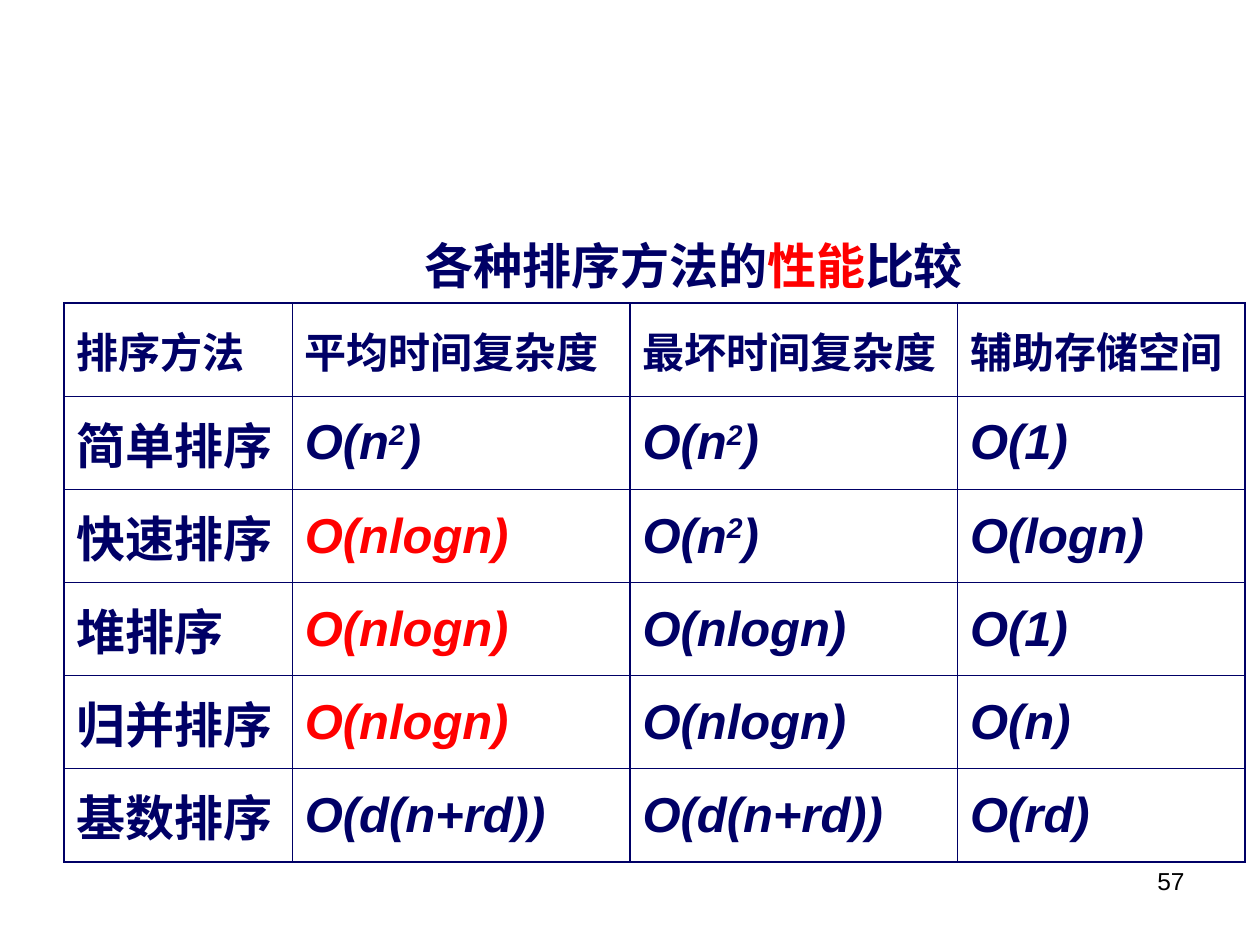
import pptx
import pptx.dml.color
import pptx.enum.text
import pptx.oxml
import pptx.oxml.ns
import pptx.util
from dataclasses import dataclass

Align = pptx.enum.text.PP_ALIGN
Anchor = pptx.enum.text.MSO_ANCHOR


@dataclass(frozen=True)
class Theme:
    font: str = "Arial"
    navy: str = "000066"
    red: str = "FF0000"
    black: str = "000000"
    large: int = 28
    header: int = 24
    small: int = 14
    outer_line: float = 1.47
    inner_line: float = 0.75


THEME = Theme()
RED = {"color": THEME.red}
SQUARE = [("O(n", {}), ("2", {"superscript": True}), (")", {})]
FAST = [("O(nlogn)", RED)]

TITLE = [("各种排序方法的", {}), ("性能", RED), ("比较", {})]
ROWS = [
    ["排序方法", "平均时间复杂度", "最坏时间复杂度", "辅助存储空间"],
    ["简单排序", SQUARE, SQUARE, "O(1)"],
    ["快速排序", FAST, SQUARE, "O(logn)"],
    ["堆排序", FAST, "O(nlogn)", "O(1)"],
    ["归并排序", FAST, "O(nlogn)", "O(n)"],
    ["基数排序", "O(d(n+rd))", "O(d(n+rd))", "O(rd)"],
]
COLUMN_SHARES = [0.181, 0.268, 0.26, 0.228]
ROW_SHARE = 0.0985


class SlideBuilder:
    """Places elements by shares of the slide's width and height."""

    def __init__(self, prs, theme):
        self.prs = prs
        self.theme = theme
        self.slide = prs.slides.add_slide(prs.slide_layouts.get_by_name("Title Only"))

    def x(self, share):
        return round(self.prs.slide_width * share)

    def y(self, share):
        return round(self.prs.slide_height * share)

    def box(self, left, top, width, height):
        return self.x(left), self.y(top), self.x(width), self.y(height)

    def add_runs(self, p, content, size, color, bold=True, italic=False):
        """Add a plain string, or (text, changes) pairs, run by run."""
        runs = [(content, {})] if isinstance(content, str) else content
        for text, changes in runs:
            r = p.add_run()
            r.text = text
            r.font.name = self.theme.font
            r.font.size = pptx.util.Pt(size)
            r.font.bold = bold
            r.font.italic = italic
            rgb = changes.get("color", color)
            r.font.color.rgb = pptx.dml.color.RGBColor.from_string(rgb)
            if changes.get("superscript"):
                r.font._element.set("baseline", "30000")

    def title(self, content, *shares):
        sp = self.slide.shapes.title
        sp.left, sp.top, sp.width, sp.height = self.box(*shares)
        tf = sp.text_frame
        tf.word_wrap = True
        tf.auto_size = pptx.enum.text.MSO_AUTO_SIZE.NONE
        tf.vertical_anchor = Anchor.TOP
        p = tf.paragraphs[0]
        p.alignment = Align.LEFT
        p.line_spacing = 1.25
        self.add_runs(p, content, self.theme.large, self.theme.navy)

    def page_number(self, number, *shares):
        tf = self.slide.shapes.add_textbox(*self.box(*shares)).text_frame
        tf.word_wrap = True
        p = tf.paragraphs[0]
        p.alignment = Align.RIGHT
        self.add_runs(p, number, self.theme.small, self.theme.black, bold=False)

    def borders(self, cell, outer):
        """Draw all four edges, heavier where outer is true."""
        tcPr = cell._tc.get_or_add_tcPr()
        for side in "LRTB":
            points = self.theme.outer_line if outer[side] else self.theme.inner_line
            tcPr.append(pptx.oxml.parse_xml(
                f'<a:ln{side} {pptx.oxml.ns.nsdecls("a")} w="{pptx.util.Pt(points)}">'
                f'<a:solidFill><a:srgbClr val="{self.theme.navy}"/></a:solidFill>'
                f'</a:ln{side}>'))

    def table(self, rows, left, top, column_shares, row_share):
        last_row, last_col = len(rows) - 1, len(column_shares) - 1
        frame = self.slide.shapes.add_table(
            len(rows), len(column_shares),
            *self.box(left, top, sum(column_shares), row_share * len(rows)))
        table = frame.table
        for column, share in zip(table.columns, column_shares):
            column.width = self.x(share)
        for i, row in enumerate(rows):
            table.rows[i].height = self.y(row_share)
            size = self.theme.large if i else self.theme.header
            for j, content in enumerate(row):
                cell = table.cell(i, j)
                self.borders(cell, {"L": j == 0, "R": j == last_col,
                                    "T": i == 0, "B": i == last_row})
                cell.fill.background()
                cell.vertical_anchor = Anchor.MIDDLE
                self.add_runs(cell.text_frame.paragraphs[0], content, size,
                              self.theme.navy, italic=i > 0 and j > 0)


def main():
    prs = pptx.Presentation()
    prs.slide_width = pptx.util.Inches(10)
    prs.slide_height = pptx.util.Inches(7.5)
    s = SlideBuilder(prs, THEME)
    s.page_number("57", 0.717, 0.91, 0.233, 0.07)
    s.table(ROWS, 0.051, 0.321, COLUMN_SHARES, ROW_SHARE)
    s.title(TITLE, 0.327, 0.227, 0.496, 0.092)
    prs.save("out.pptx")


if __name__ == "__main__":
    main()
